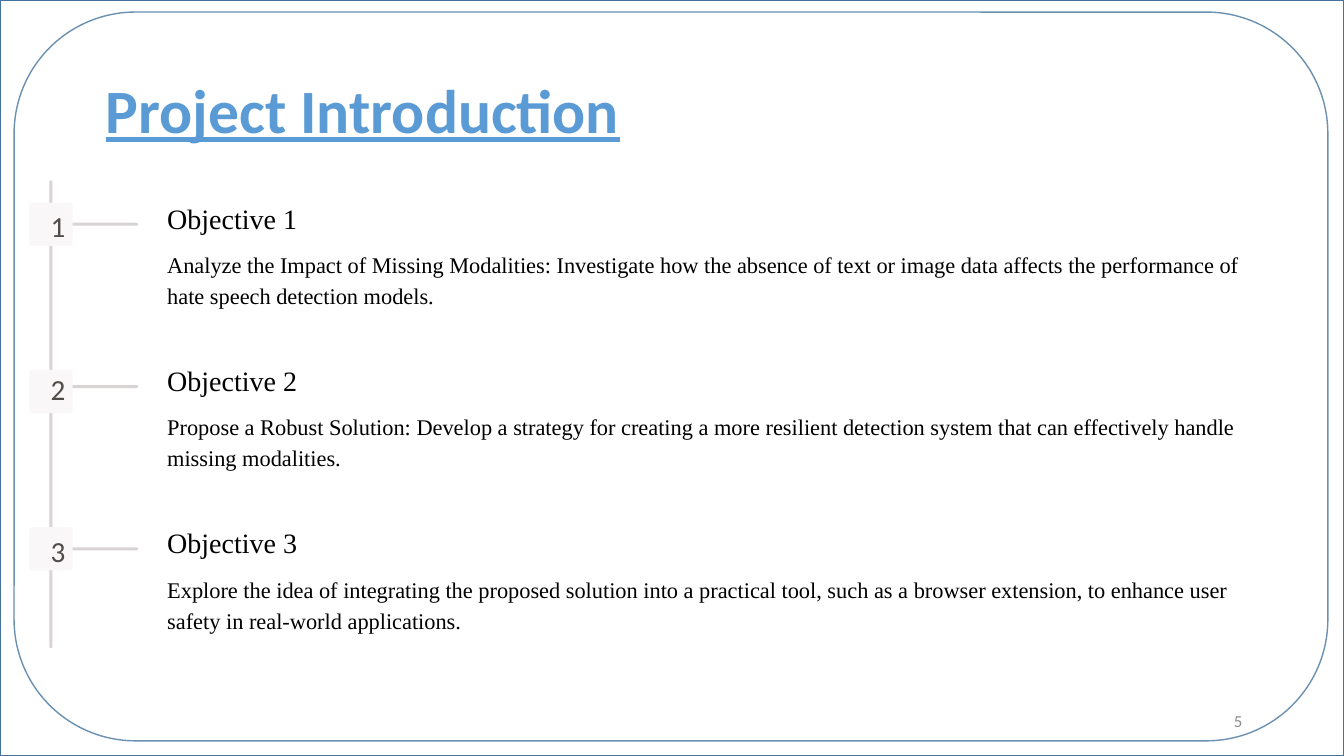
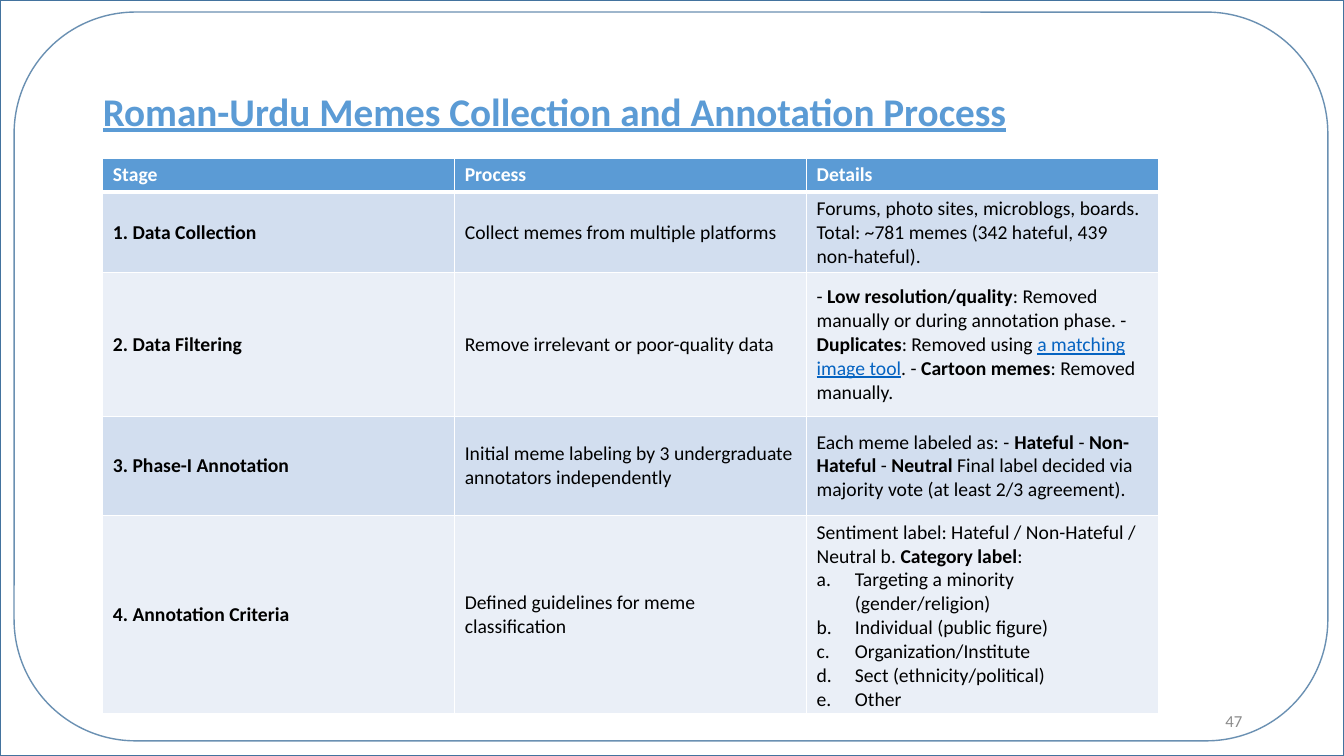
import pptx
import pptx.util
import pptx.dml.color
import pptx.enum.shapes
import pptx.enum.text
import pptx.oxml.ns
import lxml.etree

Inches = pptx.util.Inches
Pt = pptx.util.Pt
SHAPE = pptx.enum.shapes.MSO_SHAPE
ALIGN = pptx.enum.text.PP_ALIGN
ANCHOR = pptx.enum.text.MSO_ANCHOR
qn = pptx.oxml.ns.qn

COLORS = {
    "title": "5B9BD5", "frame": "43739E", "page": "8C8C8C",
    "spine": "D8D4D4", "badge": "F9F7F7", "number": "504C49",
    "black": "000000", "white": "FFFFFF", "link": "0563C1",
    "band_dark": "D2DEEF", "band_light": "EAEFF7",
}


def add_run(paragraph, text, size, color, name="Calibri", bold=False, underline=False):
    run = paragraph.add_run()
    run.text = text
    run.font.size = Pt(size)
    run.font.name = name
    run.font.bold = bold
    run.font.underline = underline
    run.font.color.rgb = pptx.dml.color.RGBColor.from_string(COLORS[color])


def add_box(slide, kind, left, top, width, height, fill=None, line=None, corner=None):
    shape = slide.shapes.add_shape(
        kind, Inches(left), Inches(top), Inches(width), Inches(height))
    shape.shadow.inherit = False
    if corner is not None:
        shape.adjustments[0] = corner
    if fill:
        shape.fill.solid()
        shape.fill.fore_color.rgb = pptx.dml.color.RGBColor.from_string(COLORS[fill])
    else:
        shape.fill.background()
    if line:
        shape.line.color.rgb = pptx.dml.color.RGBColor.from_string(COLORS[line])
        shape.line.width = Pt(1)
    else:
        shape.line.fill.background()
    return shape


presentation = pptx.Presentation()
presentation.slide_width = Inches(13.33)
presentation.slide_height = Inches(7.5)

pages = [
    ("Project Introduction", 44, 0.95, "5"),
    ("Roman-Urdu Memes Collection and Annotation Process", 28, 0.92, "47"),
]
slides = []
for title_text, title_size, title_left, page_number in pages:
    slide = presentation.slides.add_slide(presentation.slide_layouts[5])
    slides.append(slide)

    title = slide.shapes.title
    title.left, title.top = Inches(title_left), Inches(0.4)
    title.width, title.height = Inches(9.79), Inches(1.45)
    title.text_frame.vertical_anchor = ANCHOR.MIDDLE
    paragraph = title.text_frame.paragraphs[0]
    paragraph.alignment = ALIGN.LEFT
    paragraph.line_spacing = 0.9
    add_run(paragraph, title_text, title_size, "title", bold=True, underline=True)

    page_box = slide.shapes.add_textbox(Inches(9.42), Inches(6.95), Inches(3), Inches(0.4))
    page_box.text_frame.word_wrap = True
    page_box.text_frame.vertical_anchor = ANCHOR.MIDDLE
    paragraph = page_box.text_frame.paragraphs[0]
    paragraph.alignment = ALIGN.RIGHT
    add_run(paragraph, page_number, 12, "page")

    add_box(slide, SHAPE.RECTANGLE, 0, 0, 13.33, 7.5, line="frame")
    frame = add_box(slide, SHAPE.ROUNDED_RECTANGLE, 0.14, 0.12, 13.03, 7.23, line="frame")
    line_color = frame.line._ln.find(qn("a:solidFill")).find(qn("a:srgbClr"))
    lxml.etree.SubElement(line_color, qn("a:alpha"), val="79000")

objectives_slide, process_slide = slides

objectives = [
    (2.01, "Analyze the Impact of Missing Modalities: Investigate how the absence of text or "
     "image data affects the performance of hate speech detection models."),
    (3.67, "Propose a Robust Solution: Develop a strategy for creating a more resilient "
     "detection system that can effectively handle missing modalities."),
    (5.23, "Explore the idea of integrating the proposed solution into a practical tool, such "
     "as a browser extension, to enhance user safety in real-world applications."),
]
add_box(objectives_slide, SHAPE.ROUNDED_RECTANGLE, 0.49, 1.79, 0.03, 4.64, "spine", corner=0.5)
for index, (badge_top, description) in enumerate(objectives):
    offset = 1.61 * index
    add_box(objectives_slide, SHAPE.ROUNDED_RECTANGLE,
            0.7, 2.21 + offset, 0.67, 0.03, "spine", corner=0.5)
    add_box(objectives_slide, SHAPE.ROUNDED_RECTANGLE,
            0.29, badge_top, 0.43, 0.43, "badge", corner=0.07)
    texts = [
        (0.41, 2.08, 0.19, 0.29, str(index + 1), 20.8, 20.8, "number", "Calibri"),
        (1.56, 1.98, 2.41, 0.3, f"Objective {index + 1}", 20, 21.7, "black", "Times New Roman"),
        (1.56, 2.4, 10.85, 0.62, description, 16, 22.2, "black", "Times New Roman"),
    ]
    for left, top, width, height, text, size, spacing, color, font_name in texts:
        text_box = objectives_slide.shapes.add_textbox(
            Inches(left), Inches(top + offset), Inches(width), Inches(height))
        text_box.text_frame.word_wrap = text == description
        paragraph = text_box.text_frame.paragraphs[0]
        paragraph.alignment = ALIGN.CENTER if color == "number" else ALIGN.LEFT
        paragraph.line_spacing = Pt(spacing)
        add_run(paragraph, text, size, color, font_name)

stages = [
    ("Stage", "Process", [("Details", "header")]),
    ("1. Data Collection", "Collect memes from multiple platforms",
     [("Forums, photo sites, microblogs, boards. "
       "Total: ~781 memes (342 hateful, 439 non-hateful).", "plain")]),
    ("2. Data Filtering", "Remove irrelevant or poor-quality data",
     [("- ", "plain"), ("Low resolution/quality", "bold"),
      (": Removed manually or during annotation phase. - ", "plain"),
      ("Duplicates", "bold"), (": Removed using ", "plain"),
      ("a matching image tool", "link"), (". - ", "plain"),
      ("Cartoon memes", "bold"), (": Removed manually.", "plain")]),
    ("3. Phase-I Annotation",
     "Initial meme labeling by 3 undergraduate annotators independently",
     [("Each meme labeled as: - ", "plain"), ("Hateful", "bold"), (" - ", "plain"),
      ("Non-Hateful", "bold"), (" - ", "plain"), ("Neutral", "bold"),
      (" Final label decided via majority vote (at least 2/3 agreement).", "plain")]),
    ("4. Annotation Criteria", "Defined guidelines for meme classification",
     [("Sentiment label: Hateful / Non-Hateful / Neutral b. ", "plain"),
      ("Category label", "bold"), (":", "plain")]),
]
categories = [
    "Targeting a minority (gender/religion)", "Individual (public figure)",
    "Organization/Institute", "Sect (ethnicity/political)", "Other",
]
run_styles = {
    "header": {"color": "white", "bold": True},
    "plain": {"color": "black"},
    "bold": {"color": "black", "bold": True},
    "link": {"color": "link", "underline": True},
}
row_heights = [0.33, 0.8, 1.43, 0.98, 1.97]
table = process_slide.shapes.add_table(
    len(stages), 3, Inches(1.02), Inches(1.57), Inches(10.47), Inches(sum(row_heights))).table
for column in table.columns:
    column.width = Inches(3.49)

for row_index, (stage, process, details) in enumerate(stages):
    table.rows[row_index].height = Inches(row_heights[row_index])
    if row_index == 0:
        fill_name, stage_style, process_style = "title", "header", "header"
    else:
        fill_name = "band_dark" if row_index % 2 else "band_light"
        stage_style, process_style = "bold", "plain"
    row_runs = [[(stage, stage_style)], [(process, process_style)], details]
    for column_index, cell_runs in enumerate(row_runs):
        cell = table.cell(row_index, column_index)
        cell.vertical_anchor = ANCHOR.MIDDLE
        cell_properties = cell._tc.get_or_add_tcPr()
        for side in ("lnL", "lnR", "lnT", "lnB"):
            thick = (row_index, side) in ((0, "lnB"), (1, "lnT"))
            border = lxml.etree.SubElement(
                cell_properties, qn(f"a:{side}"), w=str(Pt(3 if thick else 1)))
            border_fill = lxml.etree.SubElement(border, qn("a:solidFill"))
            lxml.etree.SubElement(border_fill, qn("a:srgbClr"), val=COLORS["white"])
        cell.fill.solid()
        cell.fill.fore_color.rgb = pptx.dml.color.RGBColor.from_string(COLORS[fill_name])
        paragraph = cell.text_frame.paragraphs[0]
        for text, style in cell_runs:
            add_run(paragraph, text, 14, **run_styles[style])

criteria_frame = table.cell(4, 2).text_frame
for category in categories:
    paragraph = criteria_frame.add_paragraph()
    paragraph_properties = paragraph._p.get_or_add_pPr()
    paragraph_properties.set("marL", str(Inches(0.38)))
    paragraph_properties.set("indent", str(Inches(-0.38)))
    lxml.etree.SubElement(paragraph_properties, qn("a:buAutoNum"), type="alphaLcPeriod")
    add_run(paragraph, category, 14, **run_styles["plain"])

presentation.save("out.pptx")
